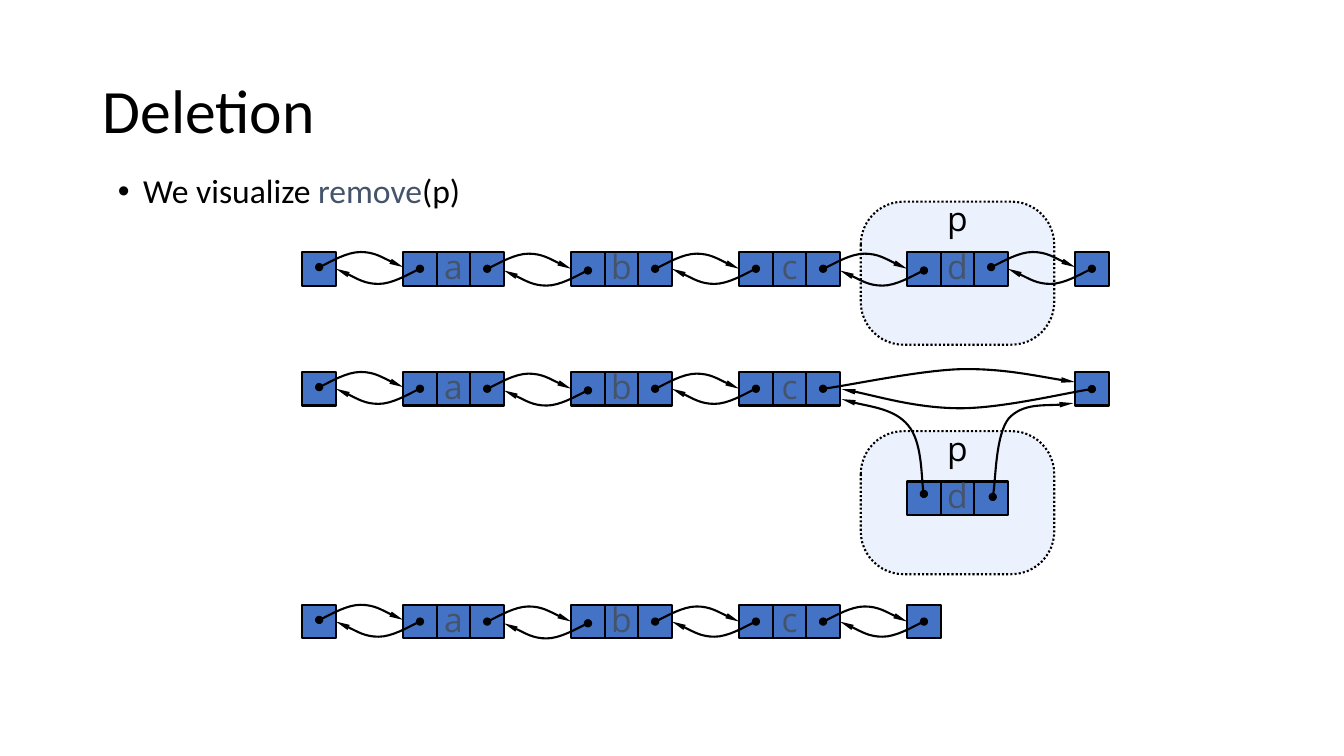
from dataclasses import dataclass

from lxml import etree
from pptx import Presentation
from pptx import util as u
from pptx.dml.color import RGBColor
from pptx.enum import dml, shapes, text
from pptx.oxml.ns import qn


@dataclass(frozen=True)
class Theme:
    ink: str = "000000"
    accent: str = "44546A"
    cell: str = "4472C4"
    bubble: str = "ECF1FE"
    body_font: str = "Calibri"
    label_font: str = "Open Sans"
    title_size: int = 44
    text_size: int = 24
    line_width: float = 1.5


CELL = 2.54 / 3  # side of one list cell in cm; the diagram is laid out in cells


def cells(n):
    return u.Cm(n * CELL)


def add_run(p, words, *, font, size, color):
    r = p.add_run()
    r.text = words
    r.font.name = font
    r.font.size = u.Pt(size)
    r.font.color.rgb = RGBColor.from_string(color)


class Board:
    """Holds the theme and the current slide."""

    def __init__(self, slide, theme):
        self.shapes = slide.shapes
        self.theme = theme

    def textbox(self, x, y, w, h, runs, *, font, size, anchor=text.MSO_ANCHOR.TOP):
        tf = self.shapes.add_textbox(x, y, w, h).text_frame
        tf.word_wrap = True
        tf.vertical_anchor = anchor
        p = tf.paragraphs[0]
        for words, color in runs:
            add_run(p, words, font=font, size=size, color=color)
        return tf

    def title(self, words):
        th = self.theme
        tf = self.textbox(u.Cm(2.34), u.Cm(1.02), u.Cm(29.21), u.Cm(3.68),
                          [(words, th.ink)], font=th.body_font,
                          size=th.title_size, anchor=text.MSO_ANCHOR.MIDDLE)
        tf.paragraphs[0].line_spacing = 0.9

    def bullet(self, runs):
        th = self.theme
        tf = self.textbox(u.Cm(2.72), u.Cm(4.27), u.Cm(21.59), u.Cm(1.27),
                          runs, font=th.body_font, size=th.text_size)
        p = tf.paragraphs[0]
        p.line_spacing = 0.9
        p.space_before = u.Pt(10)
        pPr = p._p.get_or_add_pPr()
        indent = u.Cm(0.64)
        pPr.set("marL", str(indent))
        pPr.set("indent", str(-indent))
        etree.SubElement(pPr, qn("a:buFont"), typeface="Arial")
        etree.SubElement(pPr, qn("a:buChar"), char="•")

    def label(self, x, y, letter, color):
        """Letter centred over the cell column that starts at x."""
        th = self.theme
        tf = self.textbox(cells(x - 0.1), cells(y), cells(1.2), cells(1.5),
                          [(letter, color)], font=th.label_font, size=th.text_size)
        tf.margin_left = tf.margin_right = 0
        tf.auto_size = text.MSO_AUTO_SIZE.SHAPE_TO_FIT_TEXT
        tf.paragraphs[0].alignment = text.PP_ALIGN.CENTER

    def outline(self, s, fill=None):
        s.shadow.inherit = False
        if fill:
            s.fill.solid()
            s.fill.fore_color.rgb = RGBColor.from_string(fill)
        else:
            s.fill.background()
        s.line.color.rgb = RGBColor.from_string(self.theme.ink)
        s.line.width = u.Pt(self.theme.line_width)

    def box(self, kind, x, y, w, h, fill):
        s = self.shapes.add_shape(kind, cells(x), cells(y), cells(w), cells(h))
        self.outline(s, fill)
        return s

    def bubble(self, y):
        s = self.box(shapes.MSO_SHAPE.ROUNDED_RECTANGLE, 25.62, y, 5.76, 4.26,
                     self.theme.bubble)
        s.adjustments[0] = 0.3
        s.line.dash_style = dml.MSO_LINE.ROUND_DOT
        self.label(28, y - 0.25, "p", self.theme.ink)

    def node(self, x, y, count):
        for i in range(count):
            self.box(shapes.MSO_SHAPE.RECTANGLE, x + i, y, 1, 1, self.theme.cell)

    def arrow(self, x, y, points):
        """Curve through chained cubic points, given relative to (x, y)."""
        track = [(cells(x + dx), cells(y + dy)) for dx, dy in points]
        pen = self.shapes.build_freeform(*track[0], scale=1.0)
        pen.add_line_segments(track[1:], close=False)
        s = pen.convert_to_shape()
        self.outline(s)
        # Merge every three straight segments into one cubic curve
        for i, segment in enumerate(list(s.element.iter(qn("a:lnTo")))):
            if i % 3 == 0:
                curve = segment
                curve.tag = qn("a:cubicBezTo")
            else:
                curve.append(segment[0])
                segment.getparent().remove(segment)
        ln = s.element.spPr.find(qn("a:ln"))
        etree.SubElement(ln, qn("a:headEnd"), type="oval", w="med", len="med")
        etree.SubElement(ln, qn("a:tailEnd"), type="triangle", w="sm", len="lg")


# Link curves between neighbours; a backward link is the forward one turned by 180 degrees
FORWARD = [(0, 0), (0.2, -0.08), (0.83, -0.45), (1.23, -0.45),
           (1.64, -0.45), (2.25, -0.1), (2.5, 0)]
BACKWARD = [(-dx, -dy) for dx, dy in FORWARD]

# Links while d is being removed, relative to the top of the list row
REMOVAL = [
    # c to tail
    [(24.5, 0.5), (25.17, 0.42), (27.3, -0.03), (28.53, -0.08),
     (29.79, -0.12), (31.29, 0.21), (32, 0.3)],
    # tail to c
    [(32.5, 0.51), (31.83, 0.6), (29.82, 1.08), (28.59, 1.08),
     (27.33, 1.08), (25.77, 0.63), (25.05, 0.51)],
    # d to c
    [(27.5, 3.63), (27.42, 3.3), (27.45, 2.07), (27.03, 1.59),
     (26.64, 1.11), (25.47, 0.96), (25.05, 0.81)],
    # d to tail
    [(29.55, 3.72), (29.64, 3.33), (29.64, 1.86), (30.03, 1.38),
     (30.45, 0.93), (31.56, 1.02), (31.95, 0.93)],
]

COLUMN = {"head": 9, "a": 12, "b": 17, "c": 22, "d": 27}
FORWARD_START = {"head": 0.45, "d": 0.45}
BACKWARD_START = {"b": 0.55, "d": 0.55}


def draw_nodes(board, y, names):
    for name in names:
        board.node(COLUMN[name], y, 1 if name == "head" else 3)


def draw_labels(board, y, names):
    for name in names:
        if name != "head":
            board.label(COLUMN[name] + 1, y - 0.33, name, board.theme.accent)


def draw_list(board, y, names, tail_x, tail_linked=True):
    draw_nodes(board, y, names)
    board.node(tail_x, y, 1)
    stops = names + (["tail"] if tail_linked else [])
    for left, right in zip(stops, stops[1:]):
        start = COLUMN[left] + (0.5 if left == "head" else 2.5)
        board.arrow(start, y + FORWARD_START.get(left, 0.5), FORWARD)
        back = COLUMN.get(right, tail_x) + 0.5
        board.arrow(back, y + BACKWARD_START.get(right, 0.5), BACKWARD)
    draw_labels(board, y, names)


prs = Presentation()
prs.slide_width, prs.slide_height = u.Cm(33.87), u.Cm(19.05)
theme = Theme()
board = Board(prs.slides.add_slide(prs.slide_layouts[6]), theme)

# Heading and bullet
board.title("Deletion")
board.bullet([("We visualize ", theme.ink), ("remove", theme.accent),
              ("(p)", theme.ink)])

# Before: d is linked in the list
board.bubble(6)
draw_list(board, 7.5, ["head", "a", "b", "c", "d"], tail_x=32)

# During: d is bypassed
board.bubble(12.83)
draw_list(board, 11.07, ["head", "a", "b", "c"], tail_x=32, tail_linked=False)
draw_nodes(board, 14.33, ["d"])
for link in REMOVAL:
    board.arrow(0, 11.07, link)
draw_labels(board, 14.33, ["d"])

# After: d is gone
draw_list(board, 18, ["head", "a", "b", "c"], tail_x=27)

prs.save("out.pptx")
